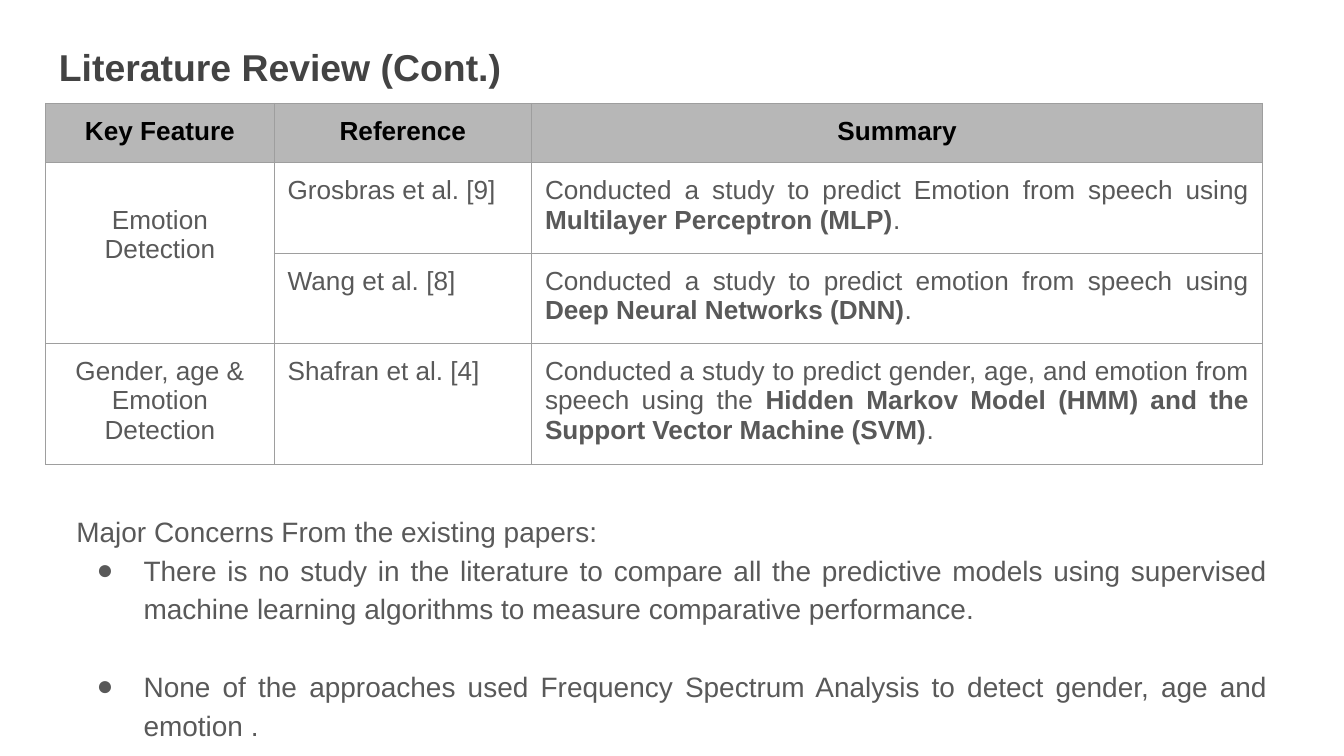
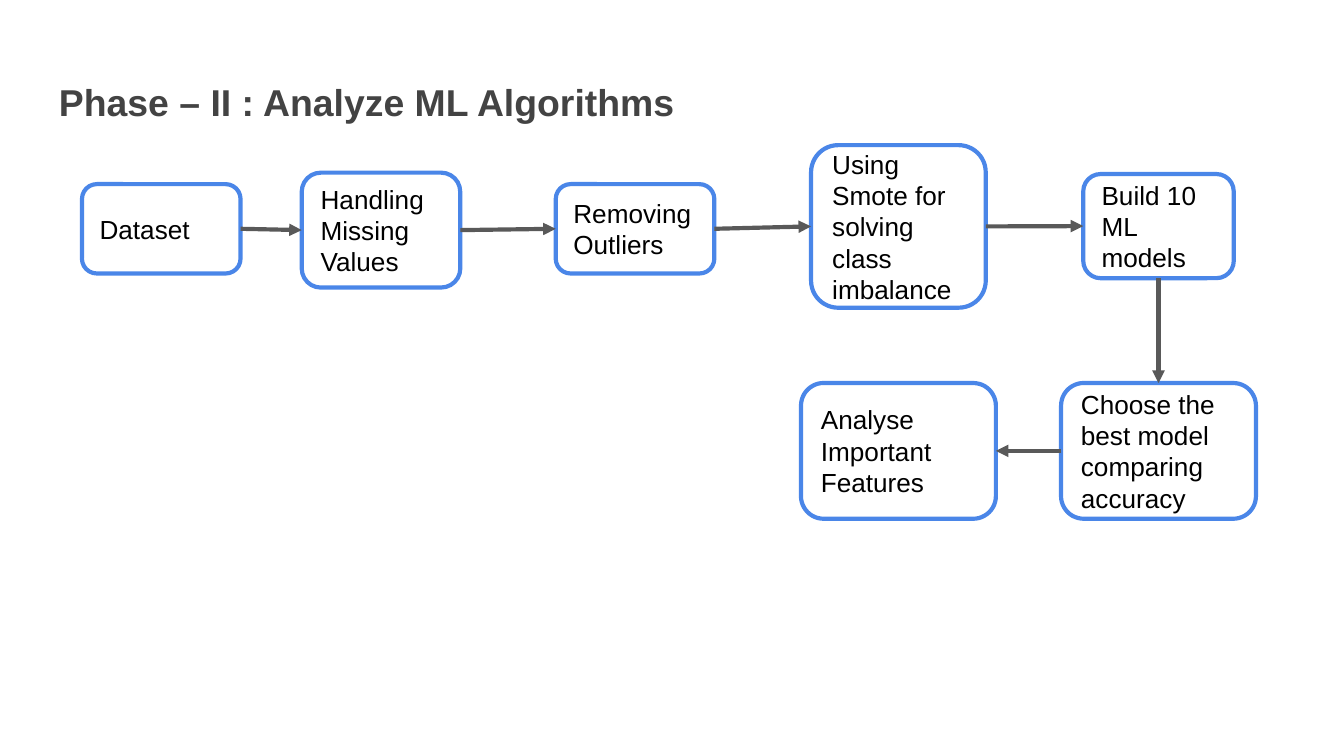
from dataclasses import dataclass
from itertools import pairwise

from lxml.etree import SubElement
from pptx import Presentation
from pptx.dml.color import RGBColor
from pptx.enum.shapes import MSO_CONNECTOR, MSO_SHAPE
from pptx.enum.text import MSO_ANCHOR, MSO_AUTO_SIZE, PP_ALIGN
from pptx.oxml.ns import qn
from pptx.shapes.autoshape import Shape
from pptx.slide import Slide
from pptx.table import _Cell
from pptx.text.text import TextFrame, _Paragraph
from pptx.util import Emu, Pt

EMU_PER_PX = 4572
FONT = "Arial"
TITLE_COLOR = "434343"
BODY_COLOR = "595959"
BLACK = "000000"
HEADER_FILL = "B7B7B7"
GRID_COLOR = "9E9E9E"
BOX_COLOR = "4A86E8"
INSET = 20
TOP, LEFT, BOTTOM, RIGHT = range(4)


@dataclass(frozen=True)
class Study:
    feature: str
    reference: str
    finding: str
    method: str


@dataclass(frozen=True)
class Step:
    text: str
    left: int
    top: int
    width: int
    height: int
    exit_side: int = RIGHT
    entry_side: int = LEFT


COLUMNS = {"Key Feature": 340, "Reference": 383, "Summary": 1088}
ROW_HEIGHTS = (88, 135, 134, 180)
STUDIES = (
    Study("Emotion Detection", "Grosbras et al. [9]",
          "Conducted a study to predict Emotion from speech using ",
          "Multilayer Perceptron (MLP)"),
    Study("", "Wang et al. [8]",
          "Conducted a study to predict emotion from speech using ",
          "Deep Neural Networks (DNN)"),
    Study("Gender, age & Emotion Detection", "Shafran et al. [4]",
          "Conducted a study to predict gender, age, and emotion from speech using the ",
          "Hidden Markov Model (HMM) and the Support Vector Machine (SVM)"),
)
CONCERNS = (
    "There is no study in the literature to compare all the predictive models using "
    "supervised machine learning algorithms to measure comparative performance.",
    "None of the approaches used Frequency Spectrum Analysis to detect gender, age and emotion .",
)
STEPS = (
    Step("Dataset", 122, 274, 236, 133),
    Step("Handling Missing Values", 449, 257, 236, 171),
    Step("Removing Outliers", 827, 274, 236, 133),
    Step("Using Smote for solving class imbalance", 1207, 216, 260, 242),
    Step("Build 10 ML models", 1612, 259, 224, 155, exit_side=BOTTOM),
    Step("Choose the best model comparing accuracy", 1579, 570, 290, 202,
         exit_side=LEFT, entry_side=TOP),
    Step("Analyse Important Features", 1192, 570, 290, 202, entry_side=RIGHT),
)


def px(length: int) -> Emu:
    return Emu(length * EMU_PER_PX)


def color(value: str) -> RGBColor:
    return RGBColor.from_string(value)


def add_text(paragraph: _Paragraph, text: str, *, size: int = 14, hue: str = BODY_COLOR,
             bold: bool = False, align: PP_ALIGN = PP_ALIGN.LEFT) -> None:
    paragraph.alignment = align
    run = paragraph.add_run()
    run.text = text
    run.font.name = FONT
    run.font.size = Pt(size)
    run.font.bold = bold
    run.font.color.rgb = color(hue)


def set_insets(holder: TextFrame | _Cell) -> None:
    holder.margin_left = holder.margin_right = px(INSET)
    holder.margin_top = holder.margin_bottom = px(INSET)


def add_text_box(slide: Slide, left: int, top: int, width: int, height: int) -> TextFrame:
    frame = slide.shapes.add_textbox(px(left), px(top), px(width), px(height)).text_frame
    frame.word_wrap = True
    frame.auto_size = MSO_AUTO_SIZE.SHAPE_TO_FIT_TEXT
    set_insets(frame)
    return frame


def add_title(slide: Slide, text: str, top: int, width: int) -> None:
    frame = add_text_box(slide, 68, top, width, 108)
    add_text(frame.paragraphs[0], text, size=20, hue=TITLE_COLOR, bold=True)


def style_cell(cell: _Cell, fill: str | None = None) -> None:
    set_insets(cell)
    properties = cell._tc.get_or_add_tcPr()
    for side in ("lnL", "lnR", "lnT", "lnB"):
        border = SubElement(properties, qn(f"a:{side}"), w=str(Pt(0.75)))
        solid = SubElement(border, qn("a:solidFill"))
        SubElement(solid, qn("a:srgbClr"), val=GRID_COLOR)
    if fill:
        cell.fill.solid()
        cell.fill.fore_color.rgb = color(fill)
    else:
        cell.fill.background()


def add_study_table(slide: Slide) -> None:
    frame = slide.shapes.add_table(len(ROW_HEIGHTS), len(COLUMNS), px(68), px(154),
                                   px(sum(COLUMNS.values())), px(sum(ROW_HEIGHTS)))
    table = frame.table
    table.first_row = table.horz_banding = False
    for row, height in zip(table.rows, ROW_HEIGHTS):
        row.height = px(height)
    for index, (heading, width) in enumerate(COLUMNS.items()):
        table.columns[index].width = px(width)
        cell = table.cell(0, index)
        style_cell(cell, HEADER_FILL)
        add_text(cell.text_frame.paragraphs[0], heading, hue=BLACK, bold=True,
                 align=PP_ALIGN.CENTER)
    for number, study in enumerate(STUDIES, start=1):
        cells = [table.cell(number, index) for index in range(len(COLUMNS))]
        for cell in cells:
            style_cell(cell)
        feature, reference, summary = (cell.text_frame.paragraphs[0] for cell in cells)
        if study.feature:
            add_text(feature, study.feature, align=PP_ALIGN.CENTER)
        add_text(reference, study.reference)
        for text, bold in ((study.finding, False), (study.method, True), (".", False)):
            add_text(summary, text, bold=bold, align=PP_ALIGN.JUSTIFY)
    shared_feature = table.cell(1, 0)
    shared_feature.merge(table.cell(2, 0))
    shared_feature.margin_top = px(64)


def add_bullet(paragraph: _Paragraph) -> None:
    properties = paragraph._p.get_or_add_pPr()
    properties.set("marL", str(px(100)))
    properties.set("indent", str(px(-70)))
    bullet_color = SubElement(properties, qn("a:buClr"))
    SubElement(bullet_color, qn("a:srgbClr"), val=BODY_COLOR)
    SubElement(properties, qn("a:buFont"), typeface=FONT)
    SubElement(properties, qn("a:buChar"), char="●")


def add_concerns(slide: Slide) -> None:
    frame = add_text_box(slide, 94, 738, 1812, 382)
    lines = ("Major Concerns From the existing papers:", *CONCERNS)
    for index, text in enumerate(lines):
        paragraph = frame.add_paragraph() if index else frame.paragraphs[0]
        paragraph.line_spacing = 1.15
        paragraph.space_before = Pt(21 if index == 2 else 0)
        add_text(paragraph, text, size=15, align=PP_ALIGN.JUSTIFY)
        if index:
            add_bullet(paragraph)


def add_step(slide: Slide, step: Step) -> Shape:
    shape = slide.shapes.add_shape(MSO_SHAPE.ROUNDED_RECTANGLE, px(step.left), px(step.top),
                                   px(step.width), px(step.height))
    shape.shadow.inherit = False
    shape.fill.background()
    shape.line.color.rgb = color(BOX_COLOR)
    shape.line.width = Pt(2.25)
    frame = shape.text_frame
    frame.word_wrap = True
    frame.vertical_anchor = MSO_ANCHOR.MIDDLE
    set_insets(frame)
    add_text(frame.paragraphs[0], step.text, hue=BLACK)
    return shape


def add_arrow(slide: Slide, start: Shape, start_side: int, end: Shape, end_side: int) -> None:
    connector = slide.shapes.add_connector(MSO_CONNECTOR.STRAIGHT, 0, 0, 0, 0)
    connector.begin_connect(start, start_side)
    connector.end_connect(end, end_side)
    connector.line.color.rgb = color(BODY_COLOR)
    connector.line.width = Pt(2.25)
    properties = connector.element.spPr
    SubElement(properties.find(qn("a:ln")), qn("a:tailEnd"), type="triangle")
    SubElement(properties, qn("a:effectLst"))


def add_flow(slide: Slide) -> None:
    placed = [(step, add_step(slide, step)) for step in STEPS]
    for (source, start), (target, end) in pairwise(placed):
        add_arrow(slide, start, source.exit_side, end, target.entry_side)


def main() -> None:
    presentation = Presentation()
    presentation.slide_width = px(2000)
    presentation.slide_height = px(1125)
    blank = presentation.slide_layouts[6]

    review = presentation.slides.add_slide(blank)
    add_title(review, "Literature Review (Cont.)", 46, 1812)
    add_study_table(review)
    add_concerns(review)

    analysis = presentation.slides.add_slide(blank)
    add_title(analysis, "Phase – II : Analyze ML Algorithms", 98, 1884)
    add_flow(analysis)

    presentation.save("out.pptx")


if __name__ == "__main__":
    main()
